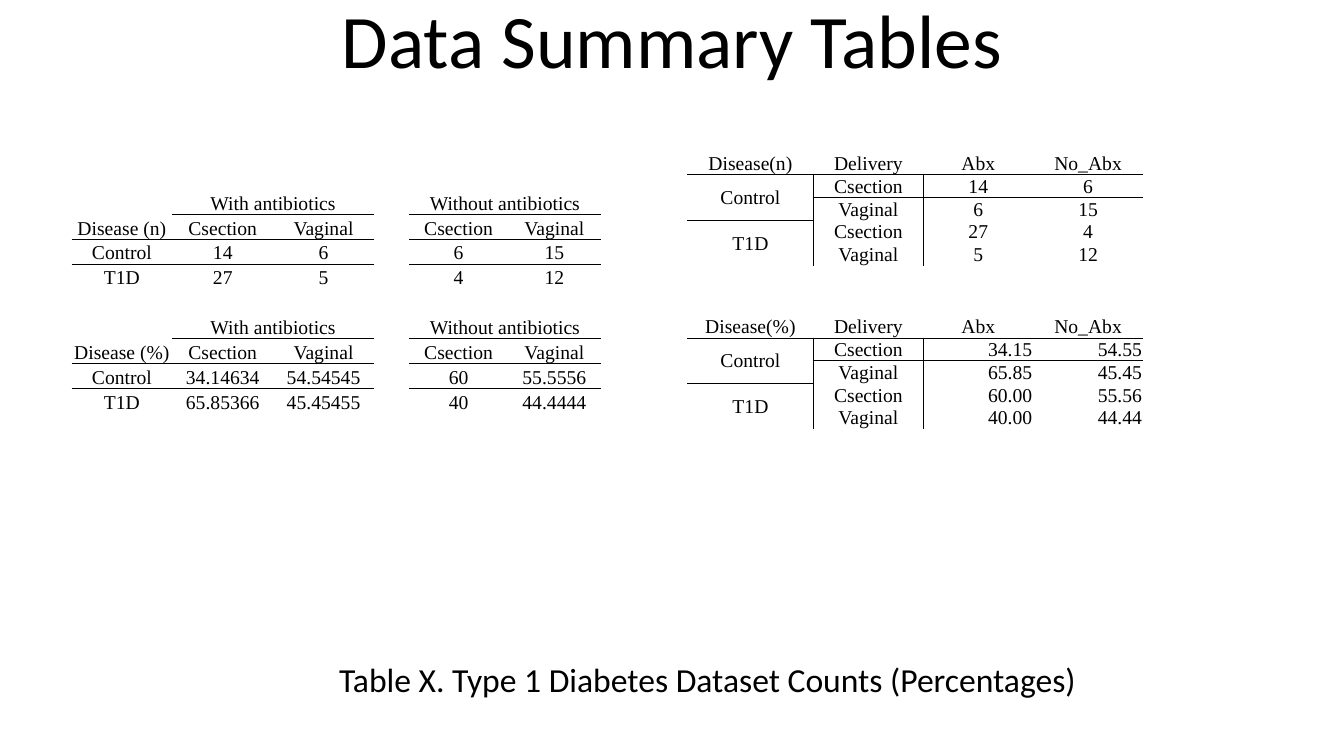
import pptx
import pptx.util
import pptx.dml.color
import pptx.enum.text
import pptx.oxml
import pptx.oxml.ns
import lxml.etree

UNIT = 0.1  # one grid step, in inches
ROW = 2.1
BLACK = "000000"
SERIF = "Times New Roman"
PLAIN = "{2D5ABB26-0587-4C30-8999-92F81FD0307C}"
ALIGN = pptx.enum.text.PP_ALIGN
ANCHOR = pptx.enum.text.MSO_ANCHOR


def grid(steps):
    """Turn grid steps into a length."""
    return pptx.util.Inches(steps * UNIT)


def color(code):
    """Turn a hex string into a colour."""
    return pptx.dml.color.RGBColor.from_string(code)


def style(item, values):
    """Set each attribute named in a dict."""
    for name, value in values.items():
        setattr(item, name, value)


def ink(font, face, size):
    """Format a font in black."""
    style(font, {"name": face, "size": pptx.util.Pt(size), "bold": False})
    font.color.rgb = color(BLACK)


def words(holder, text, box, size, form, anchor):
    """Move, fill and format a placeholder."""
    style(holder, dict(zip(("left", "top", "width", "height"), map(grid, box))))
    frame = holder.text_frame
    frame.text = text
    style(frame, {"vertical_anchor": anchor, "word_wrap": True,
                  "auto_size": pptx.enum.text.MSO_AUTO_SIZE.NONE})
    para = frame.paragraphs[0]
    style(para, {"alignment": ALIGN.CENTER, **form})
    ink(para.runs[0].font, "Calibri", size)


def border(cell, side):
    """Draw a black line on one side of a cell."""
    line = pptx.oxml.parse_xml(
        f'<a:ln{side} {pptx.oxml.ns.nsdecls("a")} w="12700"><a:solidFill>'
        f'<a:srgbClr val="{BLACK}"/></a:solidFill></a:ln{side}>')
    cell._tc.get_or_add_tcPr().append(line)


def fill(cell, text, align, anchor):
    """Write and format one cell."""
    tight = pptx.util.Inches(0.01)
    style(cell, {"margin_left": tight, "margin_right": tight,
                 "margin_top": tight, "margin_bottom": 0,
                 "vertical_anchor": anchor})
    cell.fill.background()
    para = cell.text_frame.paragraphs[0]
    para.alignment = align
    if text:
        run = para.add_run()
        run.text = text
        ink(run.font, SERIF, 14)
    else:
        end = lxml.etree.SubElement(para._p, pptx.oxml.ns.qn("a:endParaRPr"))
        end.set("sz", "1400")


def table(slide, place, cols, rows, lines, sides, spans, look):
    """Add a table; lines lie under cells and sides lie right of cells."""
    left, top = place
    frame = slide.shapes.add_table(
        len(rows), len(cols), grid(left), grid(top),
        grid(sum(cols)), grid(ROW * len(rows)))
    next(frame.element.iter(pptx.oxml.ns.qn("a:tableStyleId"))).text = PLAIN
    sheet = frame.table
    style(sheet, {"first_row": False, "horz_banding": False})
    for col, width in zip(sheet.columns, cols):
        col.width = grid(width)
    for r, row in enumerate(rows):
        sheet.rows[r].height = grid(ROW)
        for c, text in enumerate(row):
            cell = sheet.cell(r, c)
            edges = {"L": (r, c - 1) in sides, "R": (r, c) in sides,
                     "T": (r - 1, c) in lines, "B": (r, c) in lines}
            for side, drawn in edges.items():
                if drawn:
                    border(cell, side)
            fill(cell, text, *look(r, c))
    for r, c, down, over in spans:
        sheet.cell(r, c).merge(sheet.cell(r + down, c + over))


def wide(slide):
    """Add the table split by antibiotics."""
    def block(sign, control, sick):
        modes = ["Csection", "Vaginal"]
        return [["", "With antibiotics", "", "", "Without antibiotics", ""],
                [f"Disease ({sign})", *modes, "", *modes],
                ["Control", *control], ["T1D", *sick]]

    rows = [*block("n", ["14", "6", "", "6", "15"], ["27", "5", "", "4", "12"]),
            [""] * 6,
            *block("%", ["34.14634", "54.54545", "", "60", "55.5556"],
                   ["65.85366", "45.45455", "", "40", "44.4444"])]
    heads = (0, 5)
    lines = {(h + d, c) for h in heads for d in (0, 1)
             for c in (0, 1, 2, 4, 5) if d or c}
    spans = [(h, c, 0, 1) for h in heads for c in (1, 4)]
    table(slide, (7.1, 18.8), [10, 10, 10, 3.5, 9.8, 9.2], rows, lines, set(),
          spans, lambda r, c: (ALIGN.CENTER, ANCHOR.BOTTOM))


def long(slide):
    """Add the table split by delivery."""
    def block(sign, pairs):
        names = ["Control", "", "T1D", ""]
        modes = ["Csection", "Vaginal"] * 2
        return [[f"Disease({sign})", "Delivery", "Abx", "No_Abx"],
                *([n, m, *p] for n, m, p in zip(names, modes, pairs))]

    def look(r, c):
        if r > 7 and c > 1:
            return ALIGN.RIGHT, ANCHOR.BOTTOM
        return ALIGN.CENTER, ANCHOR.MIDDLE

    rows = [*block("n", [("14", "6"), ("6", "15"), ("27", "4"), ("5", "12")]),
            [""] * 4, [""] * 4,
            *block("%", [("34.15", "54.55"), ("65.85", "45.45"),
                         ("60.00", "55.56"), ("40.00", "44.44")])]
    heads = (0, 7)
    lines = {(h, c) for h in heads for c in range(4)}
    sides = {(h + d, 0) for h in heads for d in range(1, 5)}
    spans = [(h + d, 0, 1, 0) for h in heads for d in (1, 3)]
    table(slide, (68.2, 15.1), [12.5, 10.9, 10.9, 10.9], rows, lines, sides,
          spans, look)


def main():
    """Build the slide."""
    deck = pptx.Presentation()
    style(deck, {"slide_width": grid(133.33), "slide_height": grid(75)})
    slide = deck.slides.add_slide(deck.slide_layouts[0])
    title, note = slide.placeholders
    words(title, "Data Summary Tables", (0, 0, 133.33, 8.9), 54,
          {"line_spacing": 0.9}, ANCHOR.BOTTOM)
    words(note, "Table X. Type 1 Diabetes Dataset Counts (Percentages)",
          (20.2, 65.6, 100, 4.4), 24,
          {"line_spacing": 0.8, "space_before": pptx.util.Pt(10)}, ANCHOR.TOP)
    wide(slide)
    long(slide)
    deck.save("out.pptx")


main()
